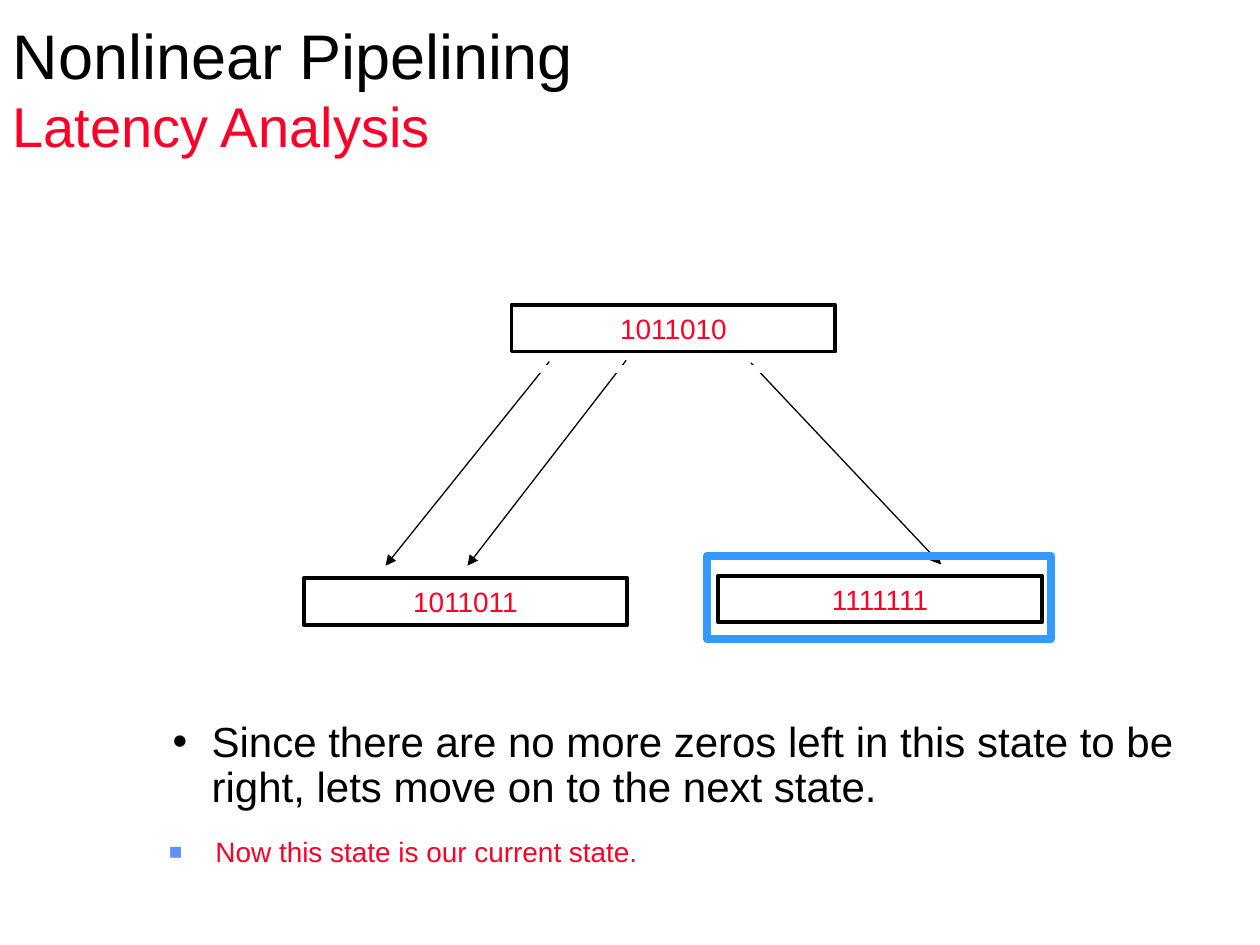
from lxml import etree
from pptx import Presentation
from pptx.dml.color import RGBColor
from pptx.enum import shapes, text
from pptx.oxml.ns import qn
from pptx.util import Inches, Pt

BLACK, RED, BLUE, WHITE = "000000", "FC0128", "3399FF", "FFFFFF"
STATE_SIZE = (2.57, 0.37)
FRAME_SIZE = (2.73, 0.66)


def rgb(hex_color):
    return RGBColor.from_string(hex_color)


def place(shape, box):
    for side, length in zip(("left", "top", "width", "height"), box):
        setattr(shape, side, Inches(length))


def write(shape, words, size, color, align=text.PP_ALIGN.LEFT,
          anchor=text.MSO_ANCHOR.TOP, line_spacing=1.0):
    frame = shape.text_frame
    frame.text = words
    paragraph = frame.paragraphs[0]
    frame_format = {
        "word_wrap": True, "auto_size": text.MSO_AUTO_SIZE.NONE,
        "vertical_anchor": anchor,
        "margin_left": Inches(0.1), "margin_right": Inches(0.1),
        "margin_top": Inches(0.05), "margin_bottom": Inches(0.05),
    }
    paragraph_format = {"alignment": align, "line_spacing": line_spacing,
                        "space_before": Pt(0)}
    font_format = {"name": "Arial", "size": Pt(size), "bold": False}
    for target, values in ((frame, frame_format), (paragraph, paragraph_format),
                           (paragraph.runs[0].font, font_format)):
        for name, value in values.items():
            setattr(target, name, value)
    paragraph.runs[0].font.color.rgb = rgb(color)


def add_bullet(paragraph, mark, color, percent, indent):
    props = paragraph._p.get_or_add_pPr()
    props.set("marL", str(Inches(indent)))
    props.set("indent", str(-Inches(indent)))
    bullet_color = etree.SubElement(props, qn("a:buClr"))
    etree.SubElement(bullet_color, qn("a:srgbClr"), val=color)
    etree.SubElement(props, qn("a:buSzPct"), val=str(percent * 1000))
    etree.SubElement(props, qn("a:buFont"), typeface="Arial")
    etree.SubElement(props, qn("a:buChar"), char=mark)


def add_heading(slide, box):
    left, top, width, height = box
    title = slide.shapes.title
    place(title, box)
    write(title, "Nonlinear Pipelining", 36, BLACK, anchor=text.MSO_ANCHOR.MIDDLE)
    subtitle = slide.shapes.add_textbox(0, 0, 0, 0)
    place(subtitle, (left, top + 0.87, 5.78, 0.64))
    write(subtitle, "Latency Analysis", 32, RED)


def add_outline(slide, box, color, weight):
    outline = slide.shapes.add_shape(shapes.MSO_SHAPE.RECTANGLE, 0, 0, 0, 0)
    place(outline, box)
    outline.shadow.inherit = False
    outline.fill.background()
    outline.line.color.rgb = rgb(color)
    outline.line.width = Pt(weight)
    return outline


def add_arrow(slide, start, end):
    arrow = slide.shapes.add_connector(
        shapes.MSO_CONNECTOR.STRAIGHT, *map(Inches, start + end))
    arrow.line.color.rgb = rgb(BLACK)
    arrow.line.width = Pt(0.75)
    etree.SubElement(arrow.line._get_or_add_ln(), qn("a:tailEnd"), type="triangle")
    etree.SubElement(arrow._element.spPr, qn("a:effectLst"))


def add_state_diagram(slide, left, top):
    """Place the diagram with its upper left corner at left, top."""
    def at(x, y):
        return (left + x, top + y)

    # States
    for bits, x, y in (("1011010", 1.65, 0.15), ("1111111", 3.29, 2.3),
                       ("1011011", 0, 2.32)):
        state = add_outline(slide, at(x, y) + STATE_SIZE, BLACK, 2.25)
        write(state, bits, 16, RED, text.PP_ALIGN.CENTER, text.MSO_ANCHOR.MIDDLE)

    # Transitions
    for start, end in (((3.55, 0.61), (5.06, 2.21)),
                       ((2.56, 0.59), (1.3, 2.22)),
                       ((1.95, 0.6), (0.65, 2.22))):
        add_arrow(slide, at(*start), at(*end))

    # Frames: blue around the current state, white around the previous one
    for x, y, color in ((3.2, 2.14, BLUE), (1.57, 0, WHITE)):
        add_outline(slide, at(x, y) + FRAME_SIZE, color, 4.5)


def add_note(body, box, words, size, color, bullet):
    place(body, box)
    write(body, words, size, color, line_spacing=0.9)
    add_bullet(body.text_frame.paragraphs[0], *bullet)


def main():
    deck = Presentation()
    deck.slide_width, deck.slide_height = Inches(10), Inches(7.5)
    slide = deck.slides.add_slide(deck.slide_layouts.get_by_name("Two Content"))
    explanation, conclusion = list(slide.placeholders)[1:3]

    add_heading(slide, (0, -0.19, 8.5, 1.25))
    add_state_diagram(slide, 2.41, 2.27)
    add_note(explanation, (1.27, 5.67, 8.5, 1.33),
             "Since there are no more zeros left in this state to be right, "
             "lets move on to the next state.",
             24, BLACK, ("•", BLACK, 100, 0.31))
    add_note(conclusion, (1.24, 6.6, 8.5, 1.33),
             "Now this state is our current state.",
             16, RED, ("■", "618FFD", 80, 0.37))
    deck.save("out.pptx")


if __name__ == "__main__":
    main()
